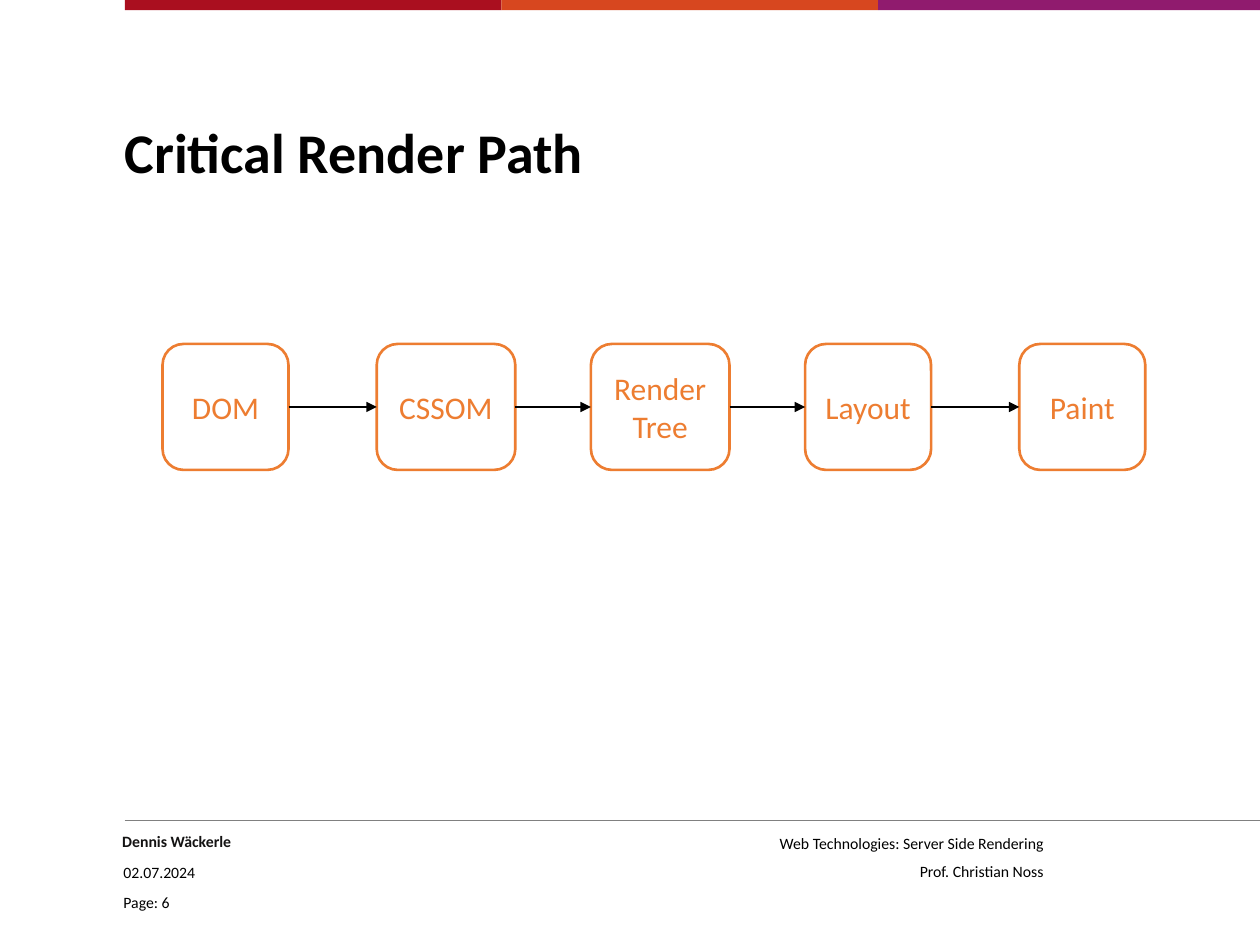
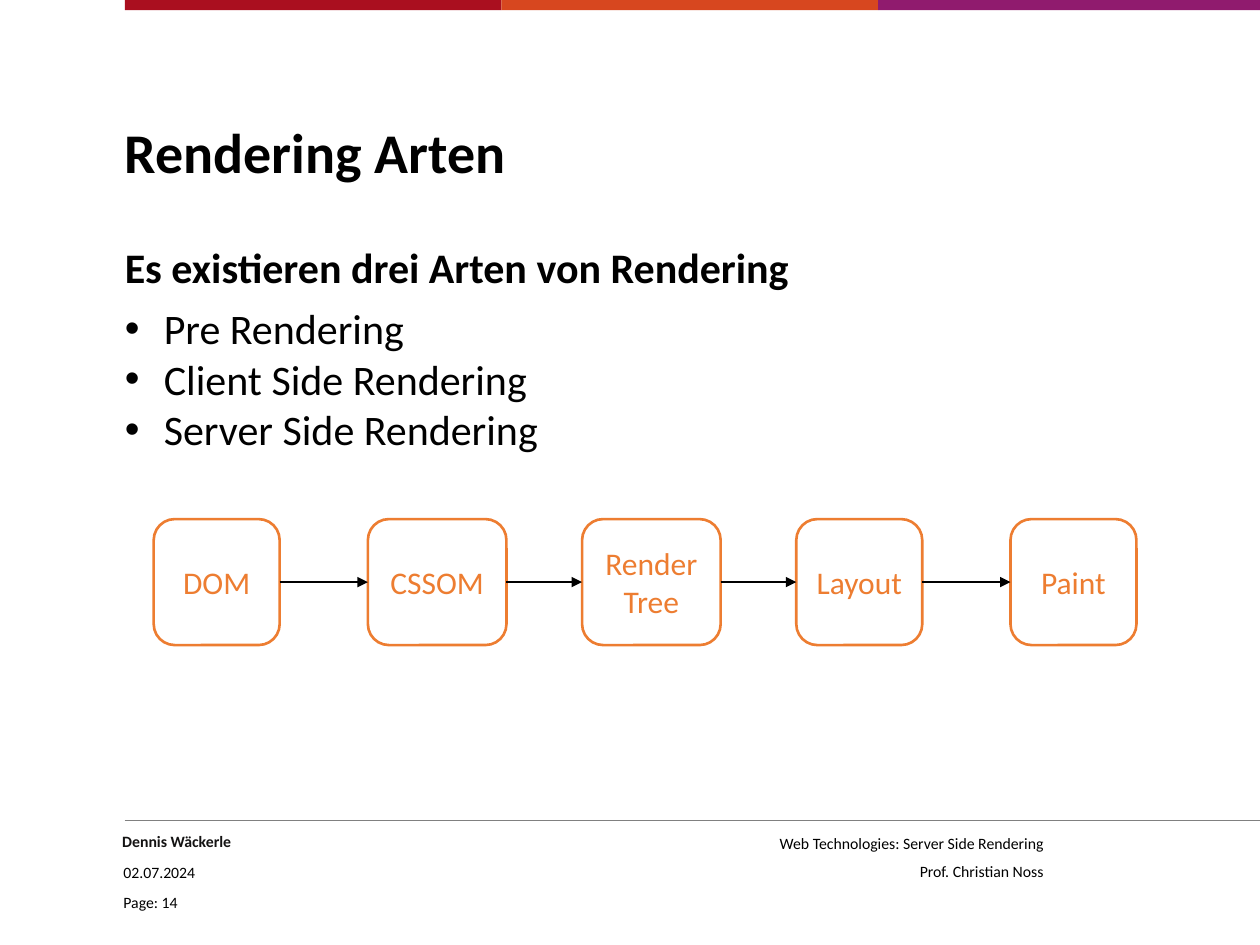
from dataclasses import dataclass

from lxml import etree
from pptx import Presentation
from pptx import util as u
from pptx.dml.color import RGBColor
from pptx.enum import shapes, text
from pptx.oxml import ns


@dataclass(frozen=True)
class Theme:
    font: str = "Calibri"
    ink: str = "000000"
    author: str = "141313"
    rule: str = "808080"
    accent: str = "ED7D31"
    bands: tuple = ("AA0F1F", "D7471F", "901B6E")
    title_size: int = 32
    body_size: int = 24
    step_size: int = 18
    footer_size: int = 9


theme = Theme()


def write(box, content, size, color=theme.ink, bold=False, align=text.PP_ALIGN.LEFT,
          spacing=None, after=0, bullet=False, margin=None, wrap=True,
          anchor=text.MSO_ANCHOR.TOP, new=True):
    frame = box.text_frame
    frame.word_wrap = wrap
    frame.auto_size = text.MSO_AUTO_SIZE.NONE
    frame.vertical_anchor = anchor
    if margin is not None:
        frame.margin_left = frame.margin_right = u.Inches(margin)
        frame.margin_top = frame.margin_bottom = u.Inches(margin)
    para = frame.paragraphs[0] if new else frame.add_paragraph()
    para.alignment = align
    para.line_spacing = spacing
    para.space_before = u.Pt(0)
    para.space_after = u.Pt(after)
    if bullet:
        properties = para._p.get_or_add_pPr()
        properties.set("marL", str(u.Inches(0.31)))
        properties.set("indent", str(u.Inches(-0.31)))
        etree.SubElement(properties, ns.qn("a:buFont"), typeface="Arial")
        etree.SubElement(properties, ns.qn("a:buChar"), char="•")
    span = para.add_run()
    span.text = content
    span.font.name = theme.font
    span.font.size = u.Pt(size)
    span.font.bold = bold
    span.font.color.rgb = RGBColor.from_string(color)


def draw_line(page, start, end, color, width):
    line = page.shapes.add_connector(
        shapes.MSO_CONNECTOR.STRAIGHT, *(u.Inches(value) for value in start + end))
    line.line.color.rgb = RGBColor.from_string(color)
    line.line.width = u.Pt(width)
    etree.SubElement(line._element.spPr, ns.qn("a:effectLst"))
    return line


deck = Presentation()
deck.slide_width = u.Inches(10)
deck.slide_height = u.Inches(7.5)

left_edge = 0.99
band_width = 2.99
step_pitch = 1.7
steps = [("DOM", 1), ("CSSOM", 1.1), ("Render Tree", 1.1), ("Layout", 1), ("Paint", 1)]
pages = [
    ("Critical Render Path", 6, None, [], 1.29, 2.73),
    ("Rendering Arten", 14, "Es existieren drei Arten von Rendering",
     ["Pre Rendering", "Client Side Rendering", "Server Side Rendering"], 1.22, 4.12),
]

for title, number, heading, bullets, flow_left, flow_top in pages:
    page = deck.slides.add_slide(deck.slide_layouts[5])

    for index, color in enumerate(theme.bands):
        left = left_edge + index * band_width
        width = min(band_width, 10 - left) if index < 2 else 10 - left
        band = page.shapes.add_shape(
            shapes.MSO_SHAPE.RECTANGLE, u.Inches(left), 0, u.Inches(width), u.Inches(0.08))
        band.shadow.inherit = False
        band.fill.solid()
        band.fill.fore_color.rgb = RGBColor.from_string(color)
        band.line.fill.background()

    draw_line(page, (left_edge, 6.51), (10, 6.51), theme.rule, 0.5)
    for content, left, top, width, color, bold in [
        ("Dennis Wäckerle", 0.97, 6.59, 3.36, theme.author, True),
        ("02.07.2024", 0.98, 6.83, 1.34, theme.ink, False),
        (f"Page: {number}", 0.98, 7.07, 1.34, theme.ink, False),
    ]:
        box = page.shapes.add_textbox(
            u.Inches(left), u.Inches(top), u.Inches(width), u.Inches(0.18))
        write(box, content, theme.footer_size, color=color, bold=bold,
              spacing=u.Pt(11.8), margin=0)
    course = page.shapes.add_textbox(
        u.Inches(4.86), u.Inches(6.49), u.Inches(3.52), u.Inches(0.53))
    for index, content in enumerate(
            ["Web Technologies: Server Side Rendering", "Prof. Christian Noss"]):
        write(course, content, theme.footer_size, align=text.PP_ALIGN.RIGHT,
              spacing=1.5, new=index == 0)

    heading_box = page.shapes.title
    heading_box.left, heading_box.top = u.Inches(left_edge), u.Inches(0.79)
    heading_box.width, heading_box.height = u.Inches(8.81), u.Inches(0.96)
    write(heading_box, title, theme.title_size, bold=True, spacing=u.Pt(28), margin=0,
          anchor=text.MSO_ANCHOR.MIDDLE)

    if heading:
        body = page.shapes.add_textbox(
            u.Inches(left_edge), u.Inches(1.92), u.Inches(8.82), u.Inches(4.38))
        write(body, heading, theme.body_size, bold=True, after=6, margin=0)
        for content in bullets:
            write(body, content, theme.body_size, bullet=True, margin=0, new=False)

    previous = None
    for index, (label, width) in enumerate(steps):
        left = flow_left + index * step_pitch
        step = page.shapes.add_shape(
            shapes.MSO_SHAPE.ROUNDED_RECTANGLE,
            u.Inches(left), u.Inches(flow_top), u.Inches(width), u.Inches(1))
        step.shadow.inherit = False
        step.fill.background()
        step.line.color.rgb = RGBColor.from_string(theme.accent)
        step.line.width = u.Pt(1.5)
        write(step, label, theme.step_size, color=theme.accent,
              align=text.PP_ALIGN.CENTER, anchor=text.MSO_ANCHOR.MIDDLE)
        if previous is not None:
            middle = flow_top + 0.5
            arrow = draw_line(page, (left - 0.6, middle), (left, middle), theme.ink, 1)
            arrow.begin_connect(previous, 3)
            arrow.end_connect(step, 1)
            etree.SubElement(arrow.line._get_or_add_ln(), ns.qn("a:tailEnd"), type="triangle")
        previous = step

deck.save("out.pptx")
